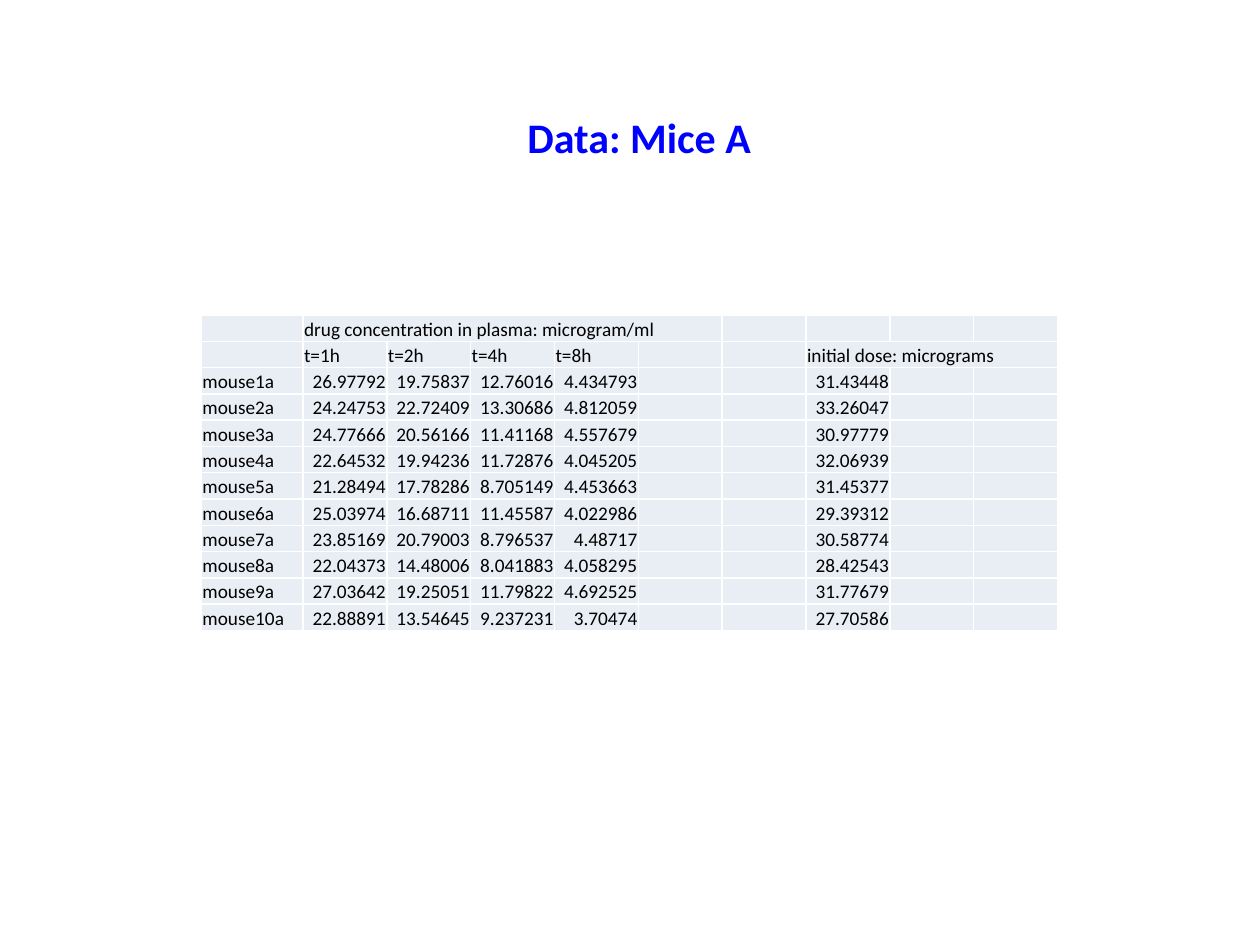
"""Build the slide with the plasma concentration table for mice A."""
import pptx
import pptx.dml.color
import pptx.enum.text
import pptx.oxml.ns
import pptx.util
from lxml import etree

Cm, Pt = pptx.util.Cm, pptx.util.Pt
ALIGN = pptx.enum.text.PP_ALIGN
ANCHOR = pptx.enum.text.MSO_ANCHOR

HEADING = "Data: Mice A"
CONCENTRATION = "drug concentration in plasma: microgram/ml "
DOSE = "initial dose: micrograms"
TIMES = ("t=1h", "t=2h", "t=4h", "t=8h")
MICE = [
    ("26.97792", "19.75837", "12.76016", "4.434793", "31.43448"),
    ("24.24753", "22.72409", "13.30686", "4.812059", "33.26047"),
    ("24.77666", "20.56166", "11.41168", "4.557679", "30.97779"),
    ("22.64532", "19.94236", "11.72876", "4.045205", "32.06939"),
    ("21.28494", "17.78286", "8.705149", "4.453663", "31.45377"),
    ("25.03974", "16.68711", "11.45587", "4.022986", "29.39312"),
    ("23.85169", "20.79003", "8.796537", "4.48717", "30.58774"),
    ("22.04373", "14.48006", "8.041883", "4.058295", "28.42543"),
    ("27.03642", "19.25051", "11.79822", "4.692525", "31.77679"),
    ("22.88891", "13.54645", "9.237231", "3.70474", "27.70586"),
]
COLORS = {"heading": "0000FF", "text": "000000", "cell": "E9EDF4", "border": "FFFFFF"}
HEADING_FONT = {"name": "Calibri", "size": Pt(24), "bold": True}
CELL_FONT = {"name": "Calibri", "size": Pt(11), "bold": False}
HEADING_BOX = {"left": Cm(10.36), "top": Cm(2.13), "width": Cm(5.05), "height": Cm(1.28)}
HEADING_FRAME = {"word_wrap": False, "vertical_anchor": ANCHOR.TOP,
                 "auto_size": pptx.enum.text.MSO_AUTO_SIZE.SHAPE_TO_FIT_TEXT}
CELL_FORMAT = {"margin_left": Cm(0.02), "margin_right": Cm(0.02), "margin_top": Cm(0.02),
               "margin_bottom": 0, "vertical_anchor": ANCHOR.BOTTOM}
LABEL_WIDTH, VALUE_WIDTH, ROW_HEIGHT = Cm(2.05), Cm(1.69), Cm(0.53)
COLUMNS, DOSE_COLUMN = 10, 7


def apply(target, values):
    for name, value in values.items():
        setattr(target, name, value)


def rgb(name):
    return pptx.dml.color.RGBColor.from_string(COLORS[name])


def add_child(parent, tag, **attributes):
    return etree.SubElement(parent, pptx.oxml.ns.qn(tag), **attributes)


def add_borders(cell):
    properties = cell._tc.get_or_add_tcPr()
    for side in "LRTB":
        line = add_child(properties, f"a:ln{side}", w=str(Pt(1)))
        add_child(add_child(line, "a:solidFill"), "a:srgbClr", val=COLORS["border"])


def write(paragraph, text, font, color):
    run = paragraph.add_run()
    run.text = text
    apply(run.font, font)
    run.font.color.rgb = rgb(color)


def full_row(label, values, dose):
    gap = DOSE_COLUMN - 1 - len(values)
    return [label, *values, *[""] * gap, dose, *[""] * (COLUMNS - DOSE_COLUMN - 1)]


rows = [full_row("", (CONCENTRATION,), ""), full_row("", TIMES, DOSE)]
rows += [full_row(f"mouse{number}a", values, dose)
         for number, (*values, dose) in enumerate(MICE, 1)]

deck = pptx.Presentation()
deck.slide_width, deck.slide_height = Cm(25.4), Cm(19.05)
slide = deck.slides.add_slide(deck.slide_layouts[5])

table = slide.shapes.add_table(
    len(rows), COLUMNS, Cm(4.06), Cm(6.35),
    LABEL_WIDTH + VALUE_WIDTH * (COLUMNS - 1), ROW_HEIGHT * len(rows)).table
apply(table, {"first_row": False, "horz_banding": False})
for index, column in enumerate(table.columns):
    column.width = VALUE_WIDTH if index else LABEL_WIDTH
for row_index, texts in enumerate(rows):
    table.rows[row_index].height = ROW_HEIGHT
    for column_index, text in enumerate(texts):
        cell = table.cell(row_index, column_index)
        apply(cell, CELL_FORMAT)
        add_borders(cell)
        cell.fill.solid()
        cell.fill.fore_color.rgb = rgb("cell")
        paragraph = cell.text_frame.paragraphs[0]
        if text:
            write(paragraph, text, CELL_FONT, "text")
            is_value = row_index > 1 and column_index > 0
            paragraph.alignment = ALIGN.RIGHT if is_value else ALIGN.LEFT
        else:
            add_child(paragraph._p, "a:endParaRPr", sz="1100")
table.cell(0, 1).merge(table.cell(0, 5))
table.cell(1, DOSE_COLUMN).merge(table.cell(1, COLUMNS - 1))

heading = slide.shapes.title
apply(heading, HEADING_BOX)
apply(heading.text_frame, HEADING_FRAME)
heading.text_frame.paragraphs[0].alignment = ALIGN.CENTER
write(heading.text_frame.paragraphs[0], HEADING, HEADING_FONT, "heading")

deck.save("out.pptx")
